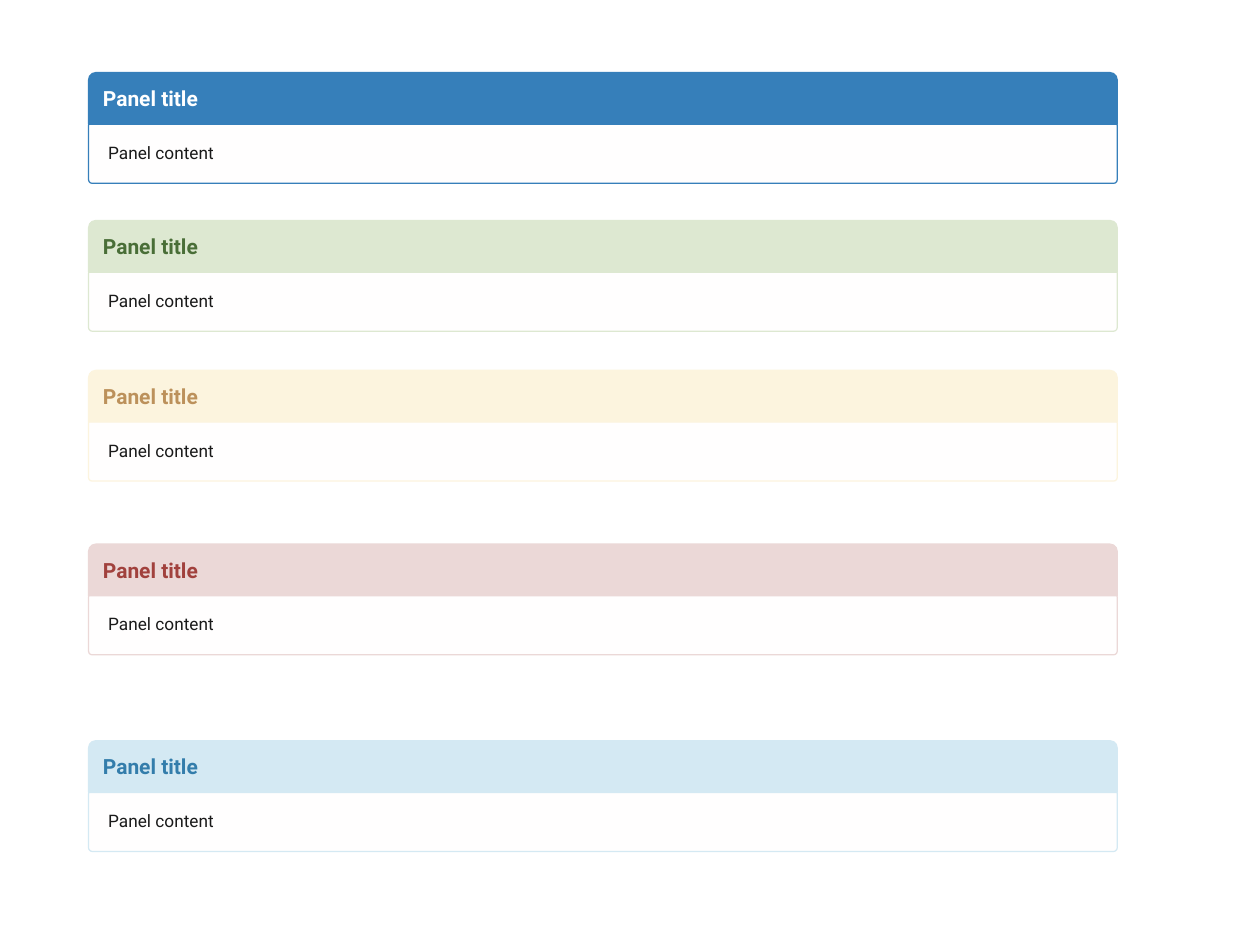
from pptx import Presentation
from pptx.dml.color import RGBColor
from pptx.enum.shapes import MSO_SHAPE
from pptx.enum.text import MSO_ANCHOR, MSO_AUTO_SIZE, PP_ALIGN
from pptx.util import Pt

ROUND_RECTANGLE = MSO_SHAPE.ROUNDED_RECTANGLE
ROUND_TOP = MSO_SHAPE.ROUND_2_SAME_RECTANGLE
MIDDLE = MSO_ANCHOR.MIDDLE
LEFT = PP_ALIGN.LEFT
FIT_SHAPE = MSO_AUTO_SIZE.SHAPE_TO_FIT_TEXT
NO_FIT = MSO_AUTO_SIZE.NONE

FONT = "Roboto"
WHITE = RGBColor(0xFF, 0xFF, 0xFF)
BODY_FILL = RGBColor(0xFF, 0xFE, 0xFE)
BODY_TEXT = RGBColor(0x1A, 0x1A, 0x1A)
BLUE = RGBColor(0x36, 0x7F, 0xBA)
PALE_GREEN = RGBColor(0xDD, 0xE8, 0xD1)
GREEN = RGBColor(0x49, 0x6E, 0x37)
PALE_YELLOW = RGBColor(0xFC, 0xF4, 0xDE)
BROWN = RGBColor(0xBC, 0x91, 0x5B)
PALE_RED = RGBColor(0xEB, 0xD8, 0xD7)
RED = RGBColor(0xA1, 0x41, 0x3D)
PALE_BLUE = RGBColor(0xD4, 0xE9, 0xF3)
DEEP_BLUE = RGBColor(0x33, 0x7D, 0xAB)

# Content: top, title, body text, panel colour, title colour
PANELS = [
    (59, "Panel title", "Panel content", BLUE, WHITE),
    (179.2, "Panel title", "Panel content", PALE_GREEN, GREEN),
    (301, "Panel title", "Panel content", PALE_YELLOW, BROWN),
    (442.2, "Panel title", "Panel content", PALE_RED, RED),
    (602, "Panel title", "Panel content", PALE_BLUE, DEEP_BLUE),
]

# Panel measures in points
PANEL_LEFT, PANEL_WIDTH = 72, 836
HEADER_HEIGHT = 42
BODY_OFFSET, BODY_HEIGHT = 40, 50
TITLE_INDENT, TITLE_OFFSET = 11.6, 10.8
TITLE_WIDTH, TITLE_HEIGHT = 80.6, 20
BODY_INSET = 15


def write_text(shape, text, *, size, color, bold=False, inset=0, wrap=True, fit=NO_FIT):
    frame = shape.text_frame
    frame.margin_left = frame.margin_right = Pt(inset)
    frame.margin_top = frame.margin_bottom = Pt(inset)
    frame.vertical_anchor = MIDDLE
    frame.word_wrap = wrap
    frame.auto_size = fit
    paragraph = frame.paragraphs[0]
    paragraph.alignment = LEFT
    run = paragraph.add_run()
    run.text = text
    run.font.name = FONT
    run.font.size = Pt(size)
    run.font.bold = bold
    run.font.color.rgb = color


def add_box(shapes, kind, top, height, *, corner, fill, line):
    box = shapes.add_shape(kind, Pt(PANEL_LEFT), Pt(top), Pt(PANEL_WIDTH), Pt(height))
    box.adjustments[0] = corner
    box.shadow.inherit = False
    box.fill.solid()
    box.fill.fore_color.rgb = fill
    box.line.color.rgb = line
    box.line.width = Pt(1)
    return box


def add_panel(slide, top, title, content, panel_color, title_color):
    shapes = slide.shapes.add_group_shape().shapes

    # Body behind, header over its top edge
    body = add_box(shapes, ROUND_RECTANGLE, top + BODY_OFFSET, BODY_HEIGHT,
                   corner=0.06, fill=BODY_FILL, line=panel_color)
    write_text(body, content, size=14, color=BODY_TEXT, inset=BODY_INSET)
    add_box(shapes, ROUND_TOP, top, HEADER_HEIGHT,
            corner=0.14, fill=panel_color, line=panel_color)

    # Title
    label = shapes.add_textbox(Pt(PANEL_LEFT + TITLE_INDENT), Pt(top + TITLE_OFFSET),
                               Pt(TITLE_WIDTH), Pt(TITLE_HEIGHT))
    write_text(label, title, size=17, color=title_color, bold=True,
               wrap=False, fit=FIT_SHAPE)


def main():
    presentation = Presentation()
    presentation.slide_width, presentation.slide_height = Pt(1024), Pt(768)
    slide = presentation.slides.add_slide(presentation.slide_layouts[6])
    for panel in PANELS:
        add_panel(slide, *panel)
    presentation.save("out.pptx")


if __name__ == "__main__":
    main()
